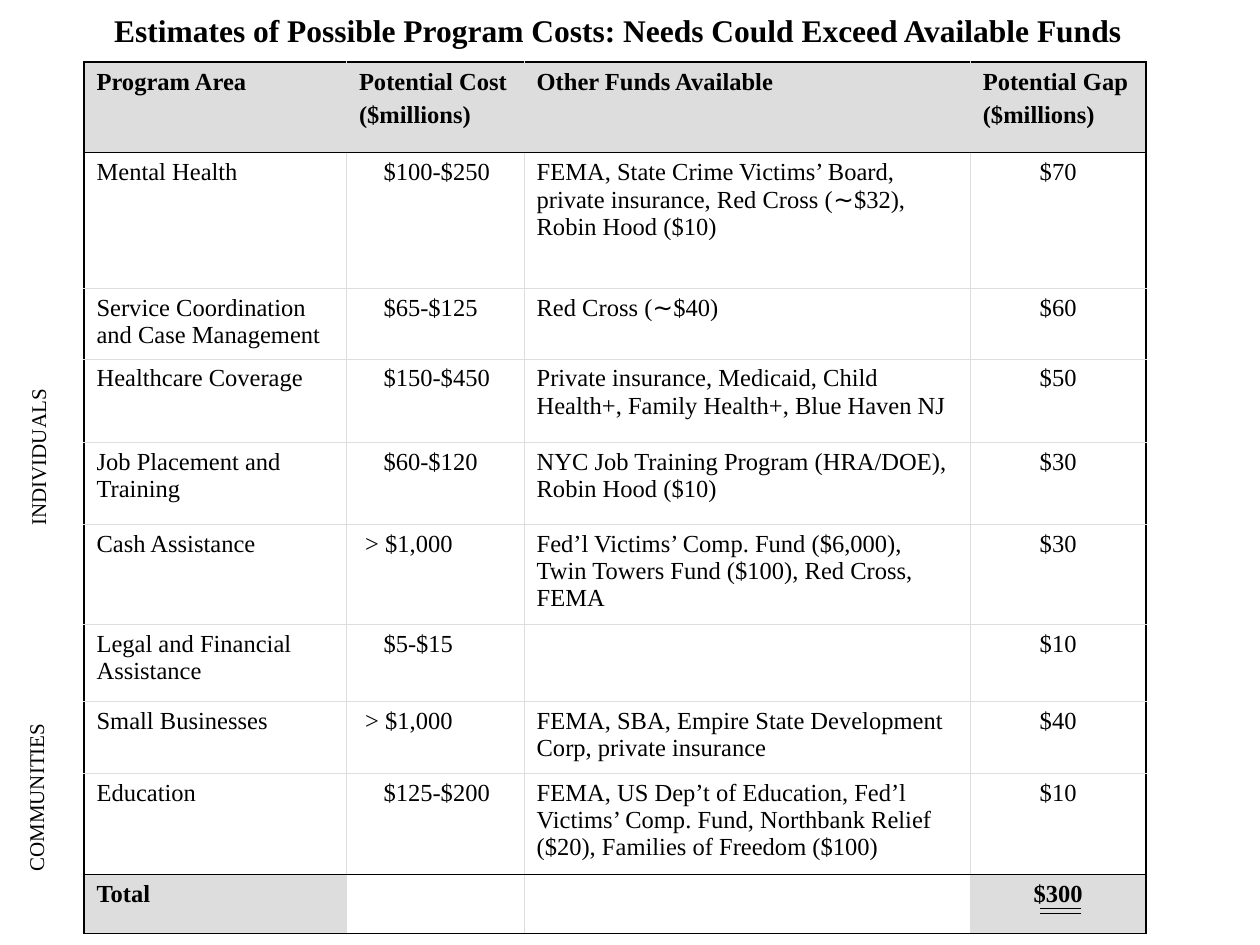
from lxml import etree
from pptx import Presentation
from pptx import util as u
from pptx.dml.color import RGBColor
from pptx.enum import shapes, text
from pptx.oxml.ns import qn

Pt = u.Pt
COLORS = {"ink": "000000", "grey": "DDDDDD"}
SERIF, SYMBOL_FONT = "Times New Roman", "Arial"
TILDE = "∼"
OUTER, INNER = 1.08, 0.45

COLUMN_WIDTHS = [150, 101.5, 255, 100.5]
ROW_HEIGHTS = [51.5, 77.5, 40.5, 47.5, 47, 57, 44.5, 41, 57.5, 34]
ROWS = [
    ["Program Area", "Potential Cost\n($millions)", "Other Funds Available",
     "Potential Gap\n($millions)"],
    ["Mental Health", "$100-$250",
     "FEMA, State Crime Victims’ Board, private insurance, "
     "Red Cross (∼$32), Robin Hood ($10)", "$70"],
    ["Service Coordination and Case Management", "$65-$125",
     "Red Cross (∼$40)", "$60"],
    ["Healthcare Coverage", "$150-$450",
     "Private insurance, Medicaid, Child Health+, Family Health+, "
     "Blue Haven NJ", "$50"],
    ["Job Placement and Training", "$60-$120",
     "NYC Job Training Program (HRA/DOE), Robin Hood ($10)", "$30"],
    ["Cash Assistance", "> $1,000",
     "Fed’l Victims’ Comp. Fund ($6,000), Twin Towers Fund ($100), "
     "Red Cross, FEMA", "$30"],
    ["Legal and Financial Assistance", "$5-$15", "", "$10"],
    ["Small Businesses", "> $1,000",
     "FEMA, SBA, Empire State Development Corp, private insurance", "$40"],
    ["Education", "$125-$200",
     "FEMA, US Dep’t of Education, Fed’l Victims’ Comp. Fund, "
     "Northbank Relief ($20), Families of Freedom ($100)", "$10"],
    ["Total", "", "", "$300"],
]


def color(name):
    return RGBColor.from_string(COLORS[name])


def add_run(paragraph, words, **formats):
    run = paragraph.add_run()
    run.text = words
    for name, value in ({"name": SERIF} | formats).items():
        setattr(run.font, name, value)
    run.font.color.rgb = color("ink")


def add_label(slide, box, words, size, bold=False, rotation=0):
    """One unwrapped line of text in the given box."""
    shape = slide.shapes.add_textbox(*map(Pt, box))
    shape.rotation = rotation
    shape.text_frame.word_wrap = False
    paragraph = shape.text_frame.paragraphs[0]
    paragraph.alignment = text.PP_ALIGN.CENTER
    add_run(paragraph, words, size=Pt(size), bold=bold)


def set_borders(cell, edges):
    """Draw the left, right, top and bottom edges, in that order."""
    properties = cell._tc.get_or_add_tcPr()
    for index, (side, (name, width)) in enumerate(zip("LRTB", edges)):
        line = etree.Element(qn(f"a:ln{side}"), w=str(int(Pt(width))))
        fill = etree.SubElement(line, qn("a:solidFill"))
        etree.SubElement(fill, qn("a:srgbClr"), val=COLORS[name])
        properties.insert(index, line)


def vertical_edge(index):
    outer = index in (0, len(COLUMN_WIDTHS))
    return ("ink", OUTER) if outer else ("grey", INNER)


def horizontal_edge(index):
    last = len(ROWS)
    if index in (0, last):
        return "ink", OUTER
    return ("ink" if index in (1, last - 1) else "grey"), INNER


def fill_cell(cell, words, row, column):
    header, total = row == 0, row == len(ROWS) - 1
    if header or (total and words):
        cell.fill.solid()
        cell.fill.fore_color.rgb = color("grey")
    else:
        cell.fill.background()
    set_borders(cell, [vertical_edge(column), vertical_edge(column + 1),
                       horizontal_edge(row), horizontal_edge(row + 1)])
    # Cost figures are indented, open-ended amounts less so
    if column == 1 and words and not header:
        cell.margin_left = Pt(10.7 if words.startswith(">") else 21.2)
    if not words:
        return
    for index, line in enumerate(words.split("\n")):
        frame = cell.text_frame
        paragraph = frame.add_paragraph() if index else frame.paragraphs[0]
        if index:
            paragraph.space_before = Pt(3.5)
        if column == 3 and not header:
            paragraph.alignment = text.PP_ALIGN.CENTER
        before, tilde, after = line.partition(TILDE)
        for part, font in ((before, SERIF), (tilde, SYMBOL_FONT), (after, SERIF)):
            if part:
                add_run(paragraph, part, name=font, size=Pt(14),
                        bold=header or total)


def add_cost_table(slide, left, top):
    frame = slide.shapes.add_table(
        len(ROWS), len(COLUMN_WIDTHS), Pt(left), Pt(top),
        Pt(sum(COLUMN_WIDTHS)), Pt(sum(ROW_HEIGHTS)))
    table = frame.table
    table.first_row = table.horz_banding = False
    for column, width in zip(table.columns, COLUMN_WIDTHS):
        column.width = Pt(width)
    for row, height in zip(table.rows, ROW_HEIGHTS):
        row.height = Pt(height)
    for row, values in enumerate(ROWS):
        for column, words in enumerate(values):
            fill_cell(table.cell(row, column), words, row, column)


def add_double_rule(slide, left, top, width, gap):
    for y in (top, top + gap):
        line = slide.shapes.add_connector(
            shapes.MSO_CONNECTOR.STRAIGHT, Pt(left), Pt(y), Pt(left + width), Pt(y))
        line.line.color.rgb = color("ink")
        line.line.width = Pt(0.75)
        etree.SubElement(line._element.spPr, qn("a:effectLst"))


def main():
    presentation = Presentation()
    presentation.slide_width, presentation.slide_height = Pt(720), Pt(540)
    slide = presentation.slides.add_slide(presentation.slide_layouts[6])

    # Cost table, with the grand total underlined twice
    add_cost_table(slide, 48, 35.6)
    add_double_rule(slide, 594, 519, 24, 3)

    # Group labels beside the rows, with room to stay on one line
    add_label(slide, (-33.5, 445, 108, 21.6), "COMMUNITIES", 12, rotation=270)
    add_label(slide, (-28.4, 250.6, 100, 21.6), "INDIVIDUALS", 12, rotation=270)

    # Title
    add_label(slide, (56.9, 2.9, 592.6, 28.8),
              "Estimates of Possible Program Costs: "
              "Needs Could Exceed Available Funds", 18, bold=True)
    presentation.save("out.pptx")


if __name__ == "__main__":
    main()
